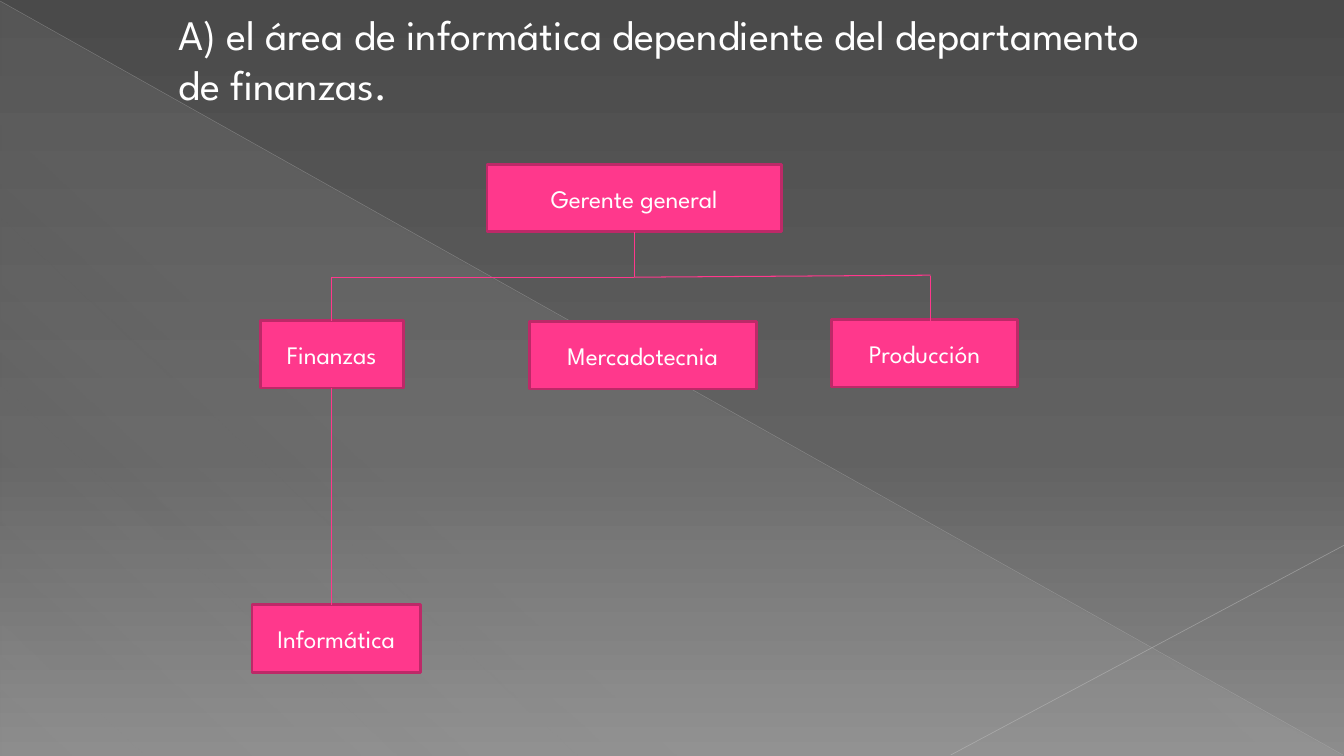
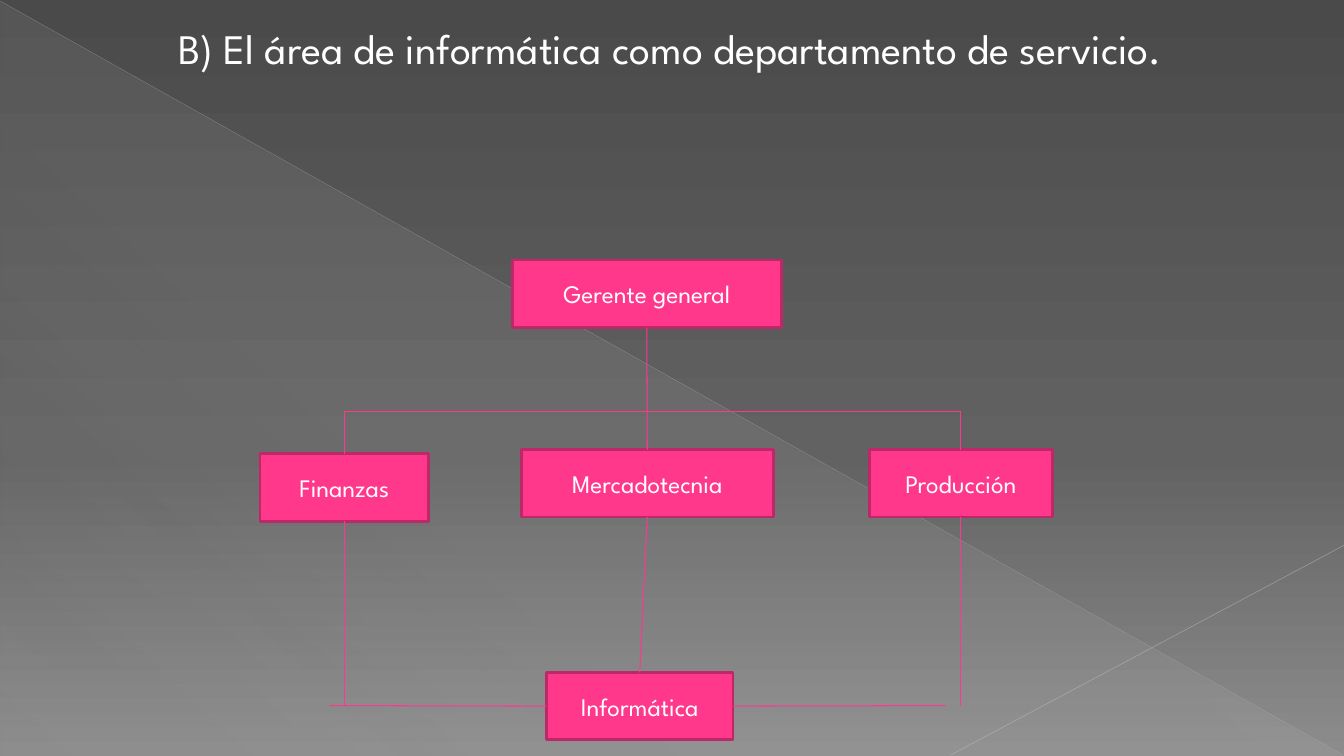
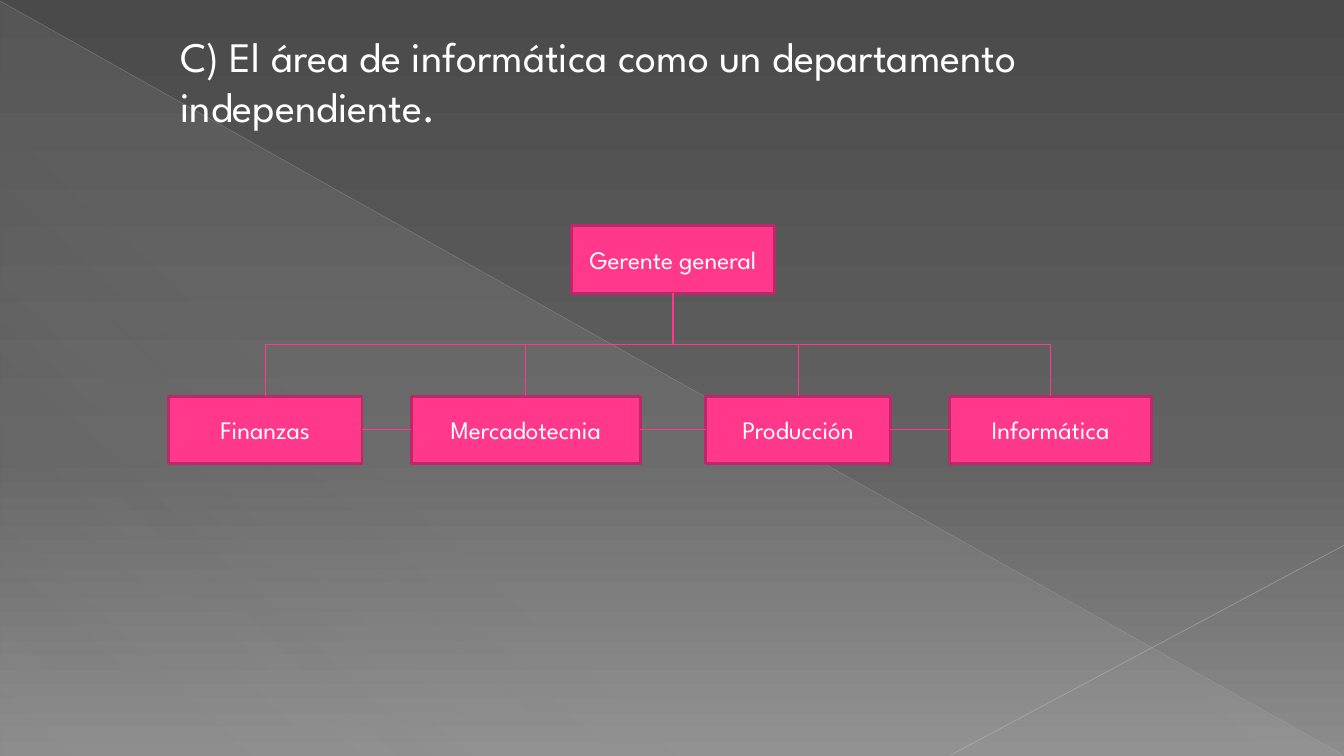
"""Three organisation charts showing where the computing area can sit."""
from dataclasses import dataclass

from lxml import etree
from pptx import Presentation
from pptx.dml.color import RGBColor
from pptx.enum.shapes import MSO_CONNECTOR, MSO_SHAPE
from pptx.enum.text import MSO_ANCHOR, MSO_AUTO_SIZE, PP_ALIGN
from pptx.oxml import parse_xml
from pptx.oxml.ns import nsdecls, qn
from pptx.util import Inches, Pt

STRAIGHT = MSO_CONNECTOR.STRAIGHT
PROCESS = MSO_SHAPE.FLOWCHART_PROCESS
TRIANGLE = MSO_SHAPE.RIGHT_TRIANGLE
TOP, MIDDLE = MSO_ANCHOR.TOP, MSO_ANCHOR.MIDDLE
LEFT, CENTER = PP_ALIGN.LEFT, PP_ALIGN.CENTER
NO_AUTOFIT = MSO_AUTO_SIZE.NONE
SIDES = {"top": 0, "left": 1, "bottom": 2, "right": 3}
TITLE_ONLY = 5


@dataclass(frozen=True)
class Theme:
    font: str = "League Spartan"
    text: str = "FFFFFF"
    box: str = "FF388C"
    border: str = "BD2968"
    title_size: float = 30
    box_size: float = 18
    border_width: float = 2
    link_width: float = 0.75
    box_height: float = 0.67
    title_height: float = 1.1
    backdrop: tuple = ((0, "4A4A4A", 100), (60, "626262", 100), (100, "8C8C8C", 100))
    sheen: tuple = ((0, "D2D2D2", 10), (70, "D2D2D2", 8), (100, "D2D2D2", 1))


THEME = Theme()

DIAGONALS = [
    ((0, 0.01), (13.32, 7.49), "BFBFBF", 0.39, 35),
    ((13.33, 5.41), (9.43, 7.49), "C6C6C6", 0.47, 45),
]

GG, FIN, MER, PRO, INF = (
    "Gerente general", "Finanzas", "Mercadotecnia", "Producción", "Informática")

CHARTS = [
    {
        "title": "A) el área de informática dependiente del departamento de finanzas.",
        "title_at": (1.67, 0.03, 10),
        "boxes": {
            GG: (4.83, 1.63, 2.92),
            FIN: (2.58, 3.18, 1.42),
            MER: (5.25, 3.19, 2.25),
            PRO: (8.25, 3.17, 1.84),
            INF: (2.5, 6, 1.67),
        },
        "links": [
            ((GG, 2.75), (9.23, 2.73)),
            ((GG, 2.75), (FIN, 2.75)),
            ((FIN, 2.75), (FIN, "top")),
            ((9.23, 2.74), (9.23, 3.19)),
            ((FIN, "bottom"), (3.29, 6)),
            ((GG, 2.75), (GG, "bottom")),
        ],
    },
    {
        "title": "B) El área de informática como departamento de servicio.",
        "title_at": (1.67, 0.17, 10),
        "boxes": {
            GG: (5.08, 2.58, 2.67),
            MER: (5.17, 4.46, 2.5),
            PRO: (8.62, 4.46, 1.82),
            FIN: (2.58, 4.5, 1.67),
            INF: (5.42, 6.67, 1.85),
        },
        "links": [
            ((GG, "bottom"), (MER, "top")),
            ((MER, "bottom"), (INF, "top")),
            ((PRO, "bottom"), (PRO, 7)),
            ((9.38, 7), (INF, "right")),
            ((FIN, "bottom"), (FIN, 7)),
            ((INF, "left"), (3.27, 7)),
            ((GG, 4.08), (FIN, 4.08)),
            ((FIN, 4.08), (FIN, "top")),
            ((GG, 4.08), (PRO, 4.08)),
            ((PRO, 4.08), (PRO, "top")),
        ],
    },
    {
        "title": "C) El área de informática como un departamento independiente.",
        "title_at": (1.69, 0.25, 9.98),
        "boxes": {
            GG: (5.67, 2.24, 2.01),
            MER: (4.08, 3.93, 2.27),
            PRO: (7, 3.93, 1.83),
            FIN: (1.67, 3.93, 1.92),
            INF: (9.42, 3.93, 2),
        },
        "links": [
            ((FIN, "right"), (MER, "left")),
            ((MER, "right"), (PRO, "left")),
            ((PRO, "right"), (INF, "left")),
            ((FIN, "top"), (FIN, 3.42)),
            ((FIN, 3.42), (INF, 3.42)),
            ((INF, 3.42), (INF, "top")),
            ((PRO, "top"), (PRO, 3.42)),
            ((MER, "top"), (MER, 3.42)),
            ((GG, 3.42), (GG, "bottom")),
        ],
    },
]


def write(sp, text, size, align=LEFT, anchor=TOP):
    tf = sp.text_frame
    tf.word_wrap = True
    tf.auto_size = NO_AUTOFIT
    tf.vertical_anchor = anchor
    p = tf.paragraphs[0]
    p.alignment = align
    r = p.add_run()
    r.text = text
    r.font.name = THEME.font
    r.font.size = Pt(size)
    r.font.color.rgb = RGBColor.from_string(THEME.text)


def set_gradient(fill, owner, stops, angle):
    fill.gradient()
    old = owner.xpath(".//a:gradFill")[0]
    gs = "".join(
        f'<a:gs pos="{pos * 1000}"><a:srgbClr val="{color}">'
        f'<a:alpha val="{alpha * 1000}"/></a:srgbClr></a:gs>'
        for pos, color, alpha in stops)
    new = parse_xml(
        f'<a:gradFill {nsdecls("a")} rotWithShape="1"><a:gsLst>{gs}</a:gsLst>'
        f'<a:lin ang="{angle * 60000}" scaled="0"/></a:gradFill>')
    old.getparent().replace(old, new)


def add_line(slide, start, end, color, width):
    line = slide.shapes.add_connector(STRAIGHT, *map(Inches, start + end))
    line.line.color.rgb = RGBColor.from_string(color)
    line.line.width = Pt(width)
    etree.SubElement(line._element.spPr, qn("a:effectLst"))
    return line


def build_master(prs, slide):
    master = prs.slide_master
    set_gradient(master.background.fill, master._element, THEME.backdrop, 90)
    sp = slide.shapes.add_shape(TRIANGLE, *map(Inches, (0.01, 0.02, 13.31, 7.48)))
    sp.shadow.inherit = False
    sp.line.fill.background()
    set_gradient(sp.fill, sp._element, THEME.sheen, 133)
    parts = [sp]
    for start, end, color, width, alpha in DIAGONALS:
        line = add_line(slide, start, end, color, width)
        clr = line._element.xpath(".//a:ln//a:srgbClr")[0]
        etree.SubElement(clr, qn("a:alpha")).set("val", str(alpha * 1000))
        parts.append(line)
    first = master.shapes[0]._element
    for number, part in enumerate(parts, 101):
        part._element.xpath(".//p:cNvPr")[0].set("id", str(number))
        first.addprevious(part._element)


def add_box(slide, name, left, top, width):
    sp = slide.shapes.add_shape(
        PROCESS, *map(Inches, (left, top, width, THEME.box_height)))
    sp.shadow.inherit = False
    sp.fill.solid()
    sp.fill.fore_color.rgb = RGBColor.from_string(THEME.box)
    sp.line.color.rgb = RGBColor.from_string(THEME.border)
    sp.line.width = Pt(THEME.border_width)
    write(sp, name, THEME.box_size, align=CENTER, anchor=MIDDLE)
    return sp


def locate(end, boxes):
    place, spot = end
    if place not in boxes:
        return end
    left, top, width = boxes[place]
    height = THEME.box_height
    center = left + width / 2
    return {
        "top": (center, top),
        "left": (left, top + height / 2),
        "bottom": (center, top + height),
        "right": (left + width, top + height / 2),
    }.get(spot, (center, spot))


def add_link(slide, start, end, boxes, shapes):
    line = add_line(slide, locate(start, boxes), locate(end, boxes),
                    THEME.box, THEME.link_width)
    for (place, spot), join in ((start, line.begin_connect), (end, line.end_connect)):
        if spot in SIDES:
            join(shapes[place], SIDES[spot])


def add_chart_slide(slide, chart):
    title = slide.shapes.title
    left, top, width = chart["title_at"]
    title.left, title.top, title.width, title.height = map(
        Inches, (left, top, width, THEME.title_height))
    write(title, chart["title"], THEME.title_size)
    boxes = chart["boxes"]
    shapes = {name: add_box(slide, name, *at) for name, at in boxes.items()}
    for start, end in chart["links"]:
        add_link(slide, start, end, boxes, shapes)


def main():
    prs = Presentation()
    prs.slide_width, prs.slide_height = Inches(13.33), Inches(7.5)
    slides = [prs.slides.add_slide(prs.slide_layouts[TITLE_ONLY]) for _ in CHARTS]
    build_master(prs, slides[0])
    for slide, chart in zip(slides, CHARTS):
        add_chart_slide(slide, chart)
    prs.save("out.pptx")


if __name__ == "__main__":
    main()
